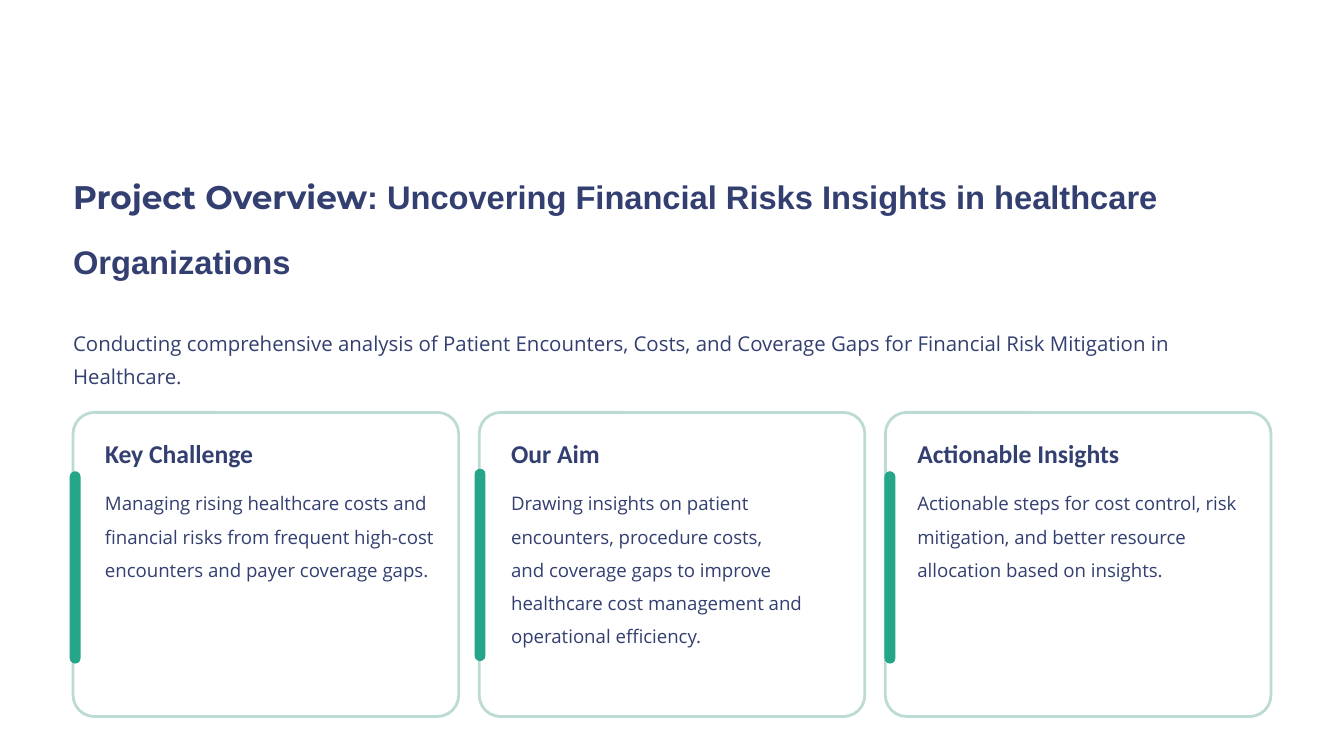
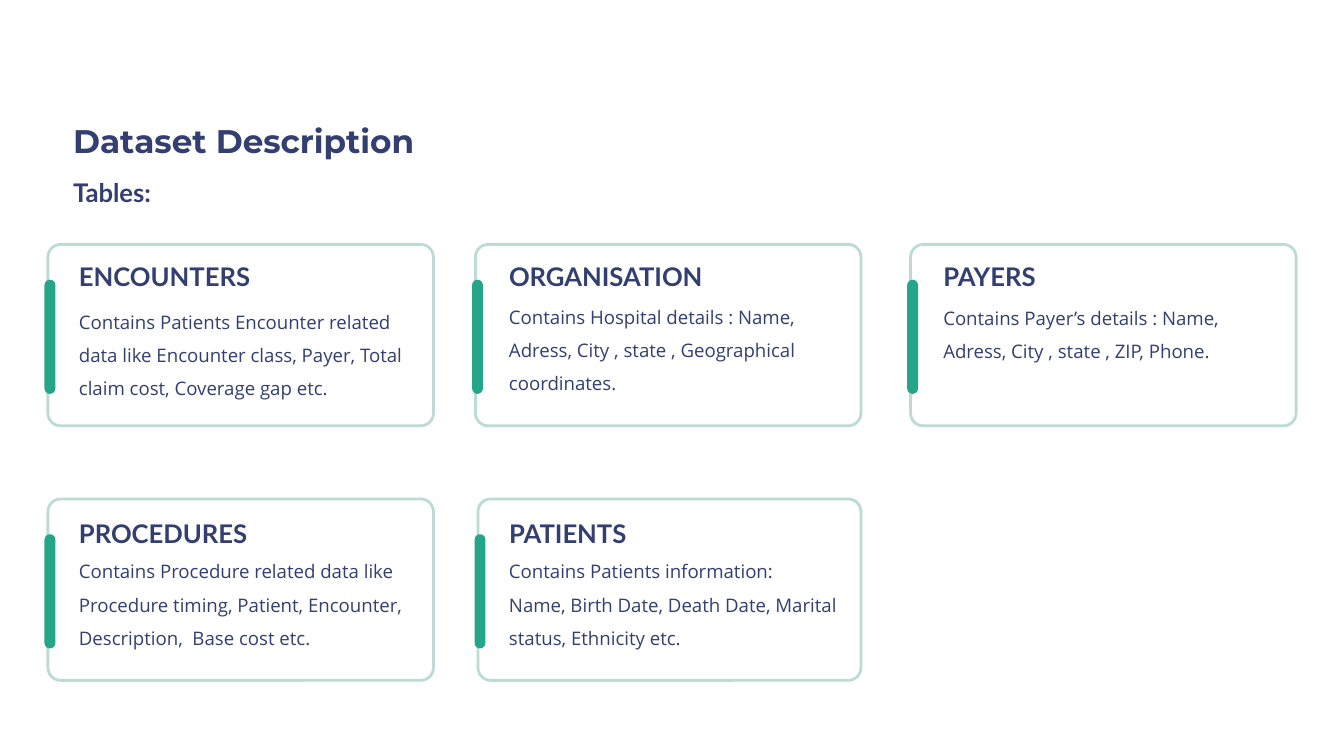
import pptx
import pptx.util
import pptx.dml.color
import pptx.enum.shapes
import pptx.enum.text
from pptx.util import Inches, Pt

NAVY = "333F70"
GREEN = "26A688"
MINT = "BCDBD4"
WHITE = "FFFFFF"
MARGIN = 0.87
CONTENT_WIDTH = 14.26
CARD_WIDTH = 4.59


def rgb(value):
    return pptx.dml.color.RGBColor.from_string(value)


def place(shape, left, top, width, height):
    shape.left, shape.top = Inches(left), Inches(top)
    shape.width, shape.height = Inches(width), Inches(height)


def write(frame, paragraphs, size=16, font="Open Sans", bold=False, spacing=28.5):
    """Fill a frame; each paragraph is a string or a list of (text, font) runs."""
    frame.margin_left = frame.margin_top = frame.margin_right = frame.margin_bottom = 0
    frame.word_wrap = True
    frame.auto_size = pptx.enum.text.MSO_AUTO_SIZE.NONE
    frame.vertical_anchor = pptx.enum.text.MSO_ANCHOR.TOP
    for index, content in enumerate(paragraphs):
        paragraph = frame.add_paragraph() if index else frame.paragraphs[0]
        paragraph.alignment = pptx.enum.text.PP_ALIGN.LEFT
        paragraph.line_spacing = Pt(spacing)
        runs = [(content, font)] if isinstance(content, str) else content
        for text, run_font in runs:
            run = paragraph.add_run()
            run.text = text
            run.font.size = Pt(size)
            run.font.name = run_font
            run.font.bold = bold
            run.font.color.rgb = rgb(NAVY)


def add_text(slide, left, top, width, height, paragraphs, **style):
    box = slide.shapes.add_textbox(0, 0, 0, 0)
    place(box, left, top, width, height)
    write(box.text_frame, paragraphs, **style)


def add_heading(slide, left, top, text, font):
    add_text(slide, left, top, 3.79, 0.39, [text],
             size=22, font=font, bold=True, spacing=27.5)


def add_title_slide(deck, runs, top, height):
    """Add a title-only slide and format its title."""
    slide = deck.slides.add_slide(deck.slide_layouts[5])
    place(slide.shapes.title, MARGIN, top, CONTENT_WIDTH, height)
    write(slide.shapes.title.text_frame, [runs], size=28, bold=True, spacing=55.5)
    return slide


def add_rounded(slide, left, top, width, height, radius, fill, line=None):
    shape = slide.shapes.add_shape(
        pptx.enum.shapes.MSO_SHAPE.ROUNDED_RECTANGLE,
        Inches(left), Inches(top), Inches(width), Inches(height))
    shape.shadow.inherit = False
    shape.adjustments[0] = radius
    shape.fill.solid()
    shape.fill.fore_color.rgb = rgb(fill)
    if line:
        shape.line.color.rgb = rgb(line)
        shape.line.width = Pt(2.4)
    else:
        shape.line.fill.background()


def add_card(slide, frame, accent, heading, body, font):
    """Draw an outlined card; accent is (left, top, height), texts are (left, top, text)."""
    add_rounded(slide, *frame, 0.07, WHITE, MINT)
    accent_left, accent_top, accent_height = accent
    add_rounded(slide, accent_left, accent_top, 0.13, accent_height, 0.5, GREEN)
    add_heading(slide, *heading, font)
    body_left, body_top, paragraphs = body
    add_text(slide, body_left, body_top, 3.93, 1.19 if len(paragraphs) == 1 else 1.99,
             paragraphs)


def build_overview(deck):
    slide = add_title_slide(deck, [
        ("Project Overview", "Montserrat"),
        (": Uncovering Financial Risks Insights in healthcare Organizations", "Arial"),
    ], 1.8, 1.55)
    add_text(slide, MARGIN, 3.84, CONTENT_WIDTH, 0.79, [
        "Conducting comprehensive analysis of Patient Encounters, Costs, and Coverage "
        "Gaps for Financial Risk Mitigation in Healthcare."], size=17.5)
    cards = [
        ("Key Challenge", 0.83, 5.61, [
            "Managing rising healthcare costs and financial risks from frequent "
            "high-cost encounters and payer coverage gaps."]),
        ("Our Aim", 5.65, 5.58, [
            "Drawing insights on patient encounters, procedure costs,",
            "and coverage gaps to improve healthcare cost management and "
            "operational efficiency."]),
        ("Actionable Insights", 10.53, 5.61, [
            "Actionable steps for cost control, risk mitigation, and better resource "
            "allocation based on insights."]),
    ]
    gap = (CONTENT_WIDTH - len(cards) * CARD_WIDTH) / (len(cards) - 1)
    for column, (heading, accent_left, accent_top, body) in enumerate(cards):
        left = MARGIN + column * (CARD_WIDTH + gap)
        text_left = left + 0.38
        add_card(slide, (left, 4.91, CARD_WIDTH, 3.62), (accent_left, accent_top, 2.29),
                 (text_left, 5.2, heading), (text_left, 5.73, body), "Calibri")


def build_dataset(deck):
    slide = add_title_slide(deck, [("Dataset Description", "Montserrat")], 1.14, 0.86)
    add_heading(slide, MARGIN, 2.09, "Tables:", "Lato")
    upper, lower = (2.91, 3.09), (5.94, 6.15)
    tables = [
        ("ENCOUNTERS", upper, 0.57, CARD_WIDTH, 0.94, 3.57, [
            "Contains Patients Encounter related data like Encounter class, Payer, "
            "Total claim cost, Coverage gap etc."]),
        ("ORGANISATION", upper, 5.66, CARD_WIDTH, 6.06, 3.51, [
            "Contains Hospital details : Name, Adress, City , state , Geographical "
            "coordinates."]),
        ("PAYERS", upper, 10.84, CARD_WIDTH, 11.23, 3.52, [
            "Contains Payer’s details : Name, Adress, City , state , ZIP, Phone."]),
        ("PROCEDURES", lower, 0.57, CARD_WIDTH, 0.94, 6.54, [
            "Contains Procedure related data like Procedure timing, Patient, Encounter, "
            "Description,  Base cost etc."]),
        ("PATIENTS", lower, 5.69, 4.56, 6.06, 6.54, [
            "Contains Patients information:",
            "Name, Birth Date, Death Date, Marital status, Ethnicity etc."]),
    ]
    for heading, (top, heading_top), left, width, text_left, body_top, body in tables:
        add_card(slide, (left, top, width, 2.16), (left - 0.04, top + 0.42, 1.36),
                 (text_left, heading_top, heading), (text_left, body_top, body), "Lato")


def main():
    deck = pptx.Presentation()
    deck.slide_width, deck.slide_height = Inches(16), Inches(9)
    build_overview(deck)
    build_dataset(deck)
    deck.save("out.pptx")


if __name__ == "__main__":
    main()
